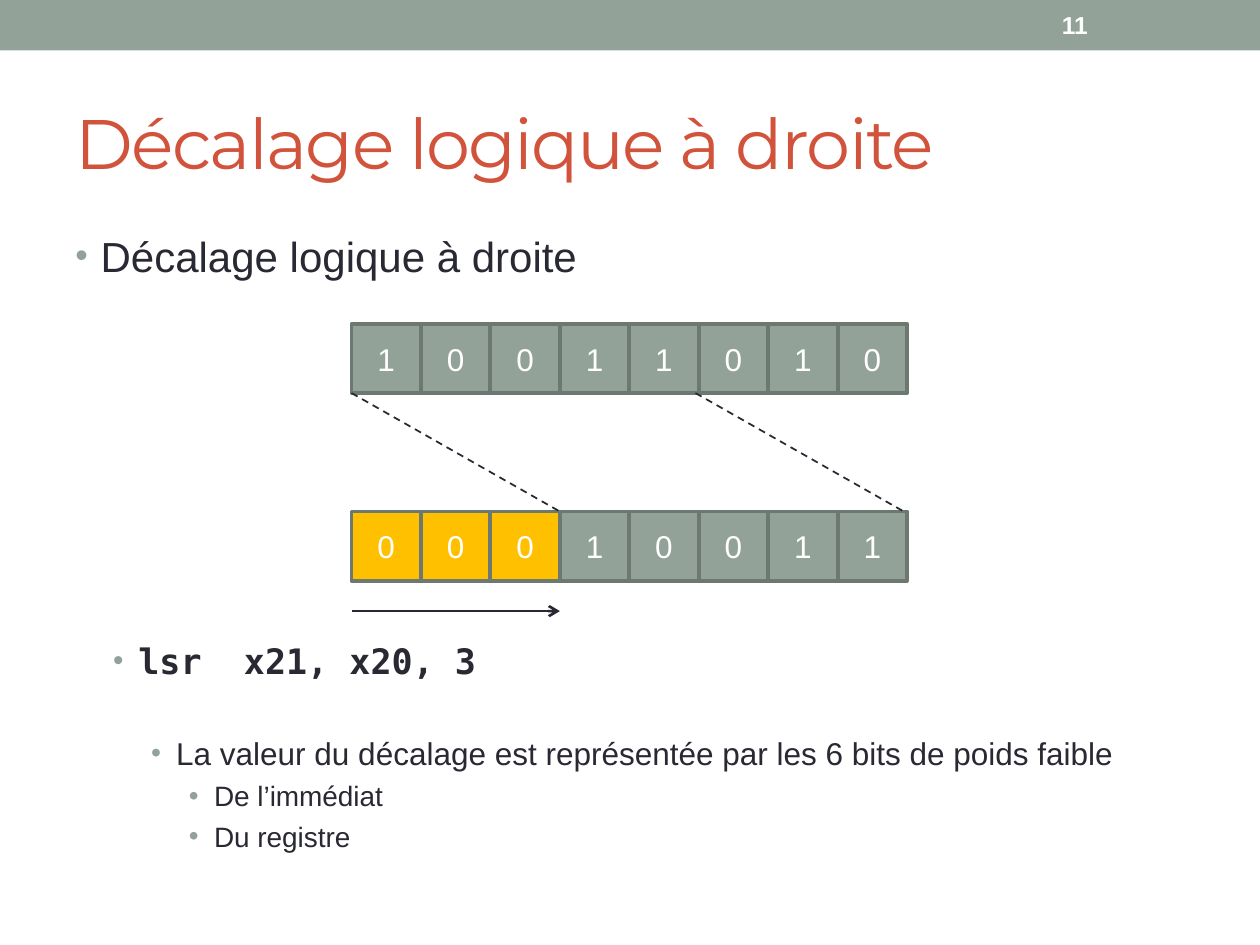
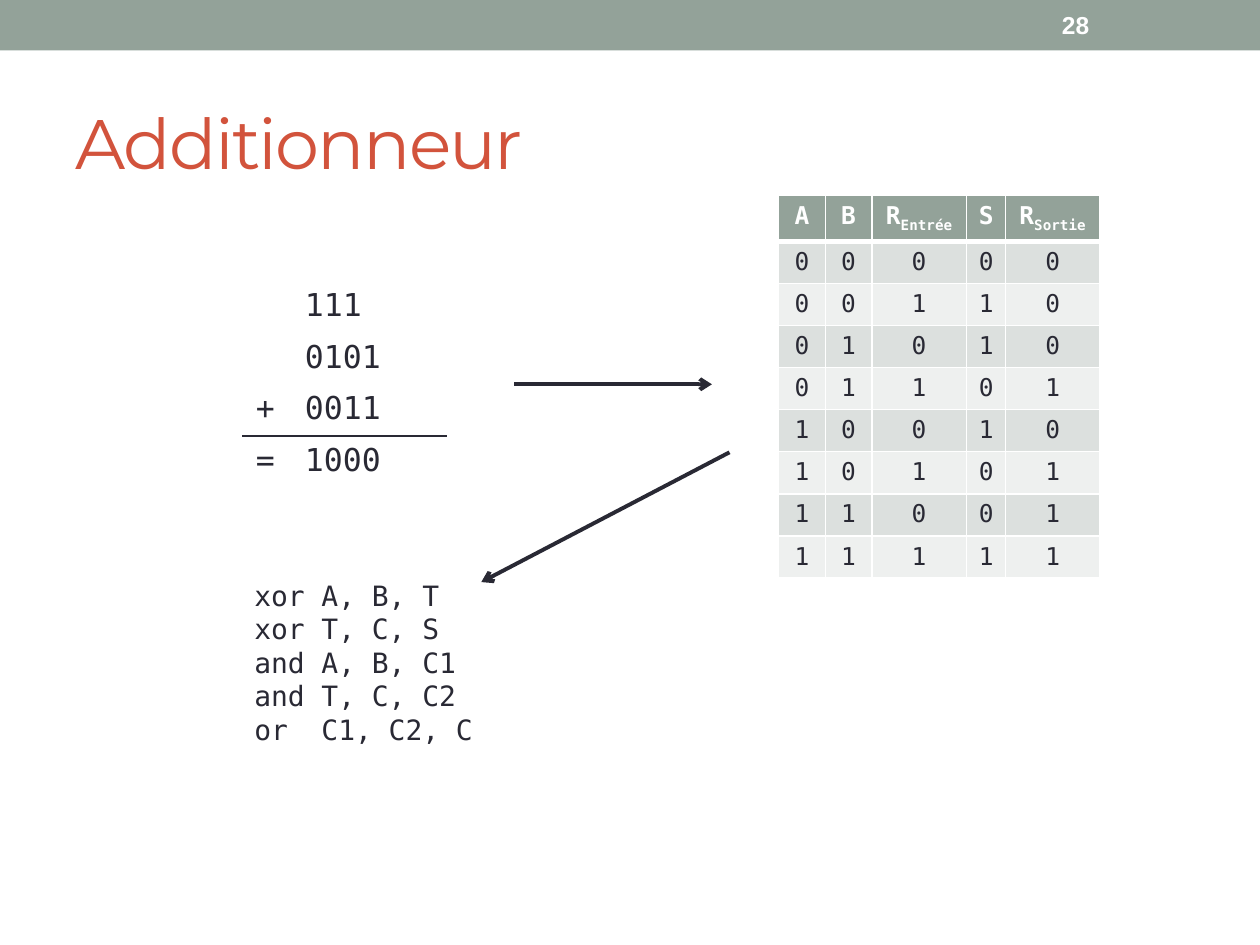
from dataclasses import dataclass
from typing import NamedTuple, Optional

from lxml.etree import SubElement
from pptx import Presentation
from pptx.dml.color import RGBColor
from pptx.enum.dml import MSO_LINE_DASH_STYLE as Dash
from pptx.enum.shapes import MSO_CONNECTOR, MSO_SHAPE
from pptx.enum.text import MSO_ANCHOR as Anchor, MSO_AUTO_SIZE as AutoSize, PP_ALIGN as Align
from pptx.oxml.ns import qn
from pptx.util import Inches, Pt


@dataclass(frozen=True)
class Theme:
    sage: str = "93A299"
    sage_edge: str = "6D7871"
    brick: str = "D2533C"
    ink: str = "292934"
    white: str = "FFFFFF"
    amber: str = "FFC000"
    row_dark: str = "DCE0DE"
    row_light: str = "EEF0EF"
    title_font: str = "Montserrat"
    text_font: str = "Arial"
    code_font: str = "DejaVu Sans Mono"
    title_size: int = 40
    body_size: int = 24
    command_size: int = 20
    detail_size: int = 18
    small_size: int = 16
    label_size: int = 14


THEME = Theme()


class Bullet(NamedTuple):
    text: str
    level: int
    size: int
    before: float = 0
    mark_percent: int = 100
    font: str = THEME.text_font
    bold: bool = False


class BitRow(NamedTuple):
    bits: str
    top: float
    filled_in: int = 0


class Link(NamedTuple):
    start: tuple[float, float]
    end: tuple[float, float]
    width: float
    dashed: bool = False
    arrow: bool = False


class Grid(NamedTuple):
    left: float
    top: float
    columns: tuple[float, ...]
    row_height: float
    rows: tuple[tuple[str, ...], ...]


BIT_LEFT, BIT_SIZE, BIT_PITCH = 2.79, 0.55, 4.41 / 8
SHIFT = 3 * BIT_PITCH
BIT_ROWS = (BitRow("10011010", 2.57), BitRow("00010011", 4.06, filled_in=3))
SHIFT_LINKS = (
    Link((BIT_LEFT, 4.85), (BIT_LEFT + SHIFT, 4.85), 1.5, arrow=True),
    *(Link((x, 3.12), (x + SHIFT, 4.06), 1, dashed=True) for x in (BIT_LEFT, 5.52)),
)
BULLETS = (
    Bullet("Décalage logique à droite", 0, THEME.body_size, mark_percent=85),
    Bullet("lsr  x21, x20, 3", 1, THEME.command_size, 205, 85, THEME.code_font, True),
    Bullet("La valeur du décalage est représentée par les 6 bits de poids faible",
           2, THEME.detail_size, 30, 90),
    Bullet("De l’immédiat", 3, THEME.small_size, 4),
    Bullet("Du registre", 3, THEME.small_size, 4),
)
SUM = Grid(1.93, 2.23, (0.39, 1.22), 0.41,
           (("", "111"), ("", "0101"), ("+", "0011"), ("=", "1000")))
TRUTH = Grid(6.18, 1.55, (0.37, 0.37, 0.75, 0.31, 0.75), 3 / 9, (
    ("A", "B", "R_Entrée", "S", "R_Sortie"),
    *(tuple(row) for row in ("00000", "00110", "01010", "01101",
                             "10010", "10101", "11001", "11111")),
))
LISTING = ("xor A, B, T", "xor T, C, S", "and A, B, C1", "and T, C, C2", "or  C1, C2, C")
ADDER_LINKS = (
    Link((4.08, 3.05), (5.65, 3.05), 2.25, arrow=True),
    Link((5.79, 3.59), (3.82, 4.62), 2.25, arrow=True),
)


def add_span(para, text: str, *, size: float, color: str = THEME.ink,
             font: str = THEME.text_font, bold: bool = False,
             spacing: Optional[int] = None, baseline: Optional[int] = None) -> None:
    span = para.add_run()
    span.text = text
    span.font.name = font
    span.font.size = Pt(size)
    span.font.bold = bold
    span.font.color.rgb = RGBColor.from_string(color)
    properties = span._r.get_or_add_rPr()
    if spacing is not None:
        properties.set("spc", str(spacing * 100))
    if baseline is not None:
        properties.set("baseline", str(baseline * 1000))


def add_box(slide, left: float, top: float, width: float, height: float,
            anchor: Anchor = Anchor.TOP):
    box = slide.shapes.add_textbox(Inches(left), Inches(top), Inches(width), Inches(height))
    frame = box.text_frame
    frame.word_wrap = True
    frame.vertical_anchor = anchor
    return frame


def next_para(frame, index: int):
    return frame.add_paragraph() if index else frame.paragraphs[0]


def add_rectangle(shapes, left: float, top: float, width: float, height: float,
                  fill: str, edge: Optional[str] = None):
    shape = shapes.add_shape(MSO_SHAPE.RECTANGLE, Inches(left), Inches(top),
                             Inches(width), Inches(height))
    shape.shadow.inherit = False
    shape.fill.solid()
    shape.fill.fore_color.rgb = RGBColor.from_string(fill)
    if edge:
        shape.line.color.rgb = RGBColor.from_string(edge)
        shape.line.width = Pt(2.08)
    else:
        shape.line.fill.background()
    return shape


def add_slide(deck, title: str, number: int):
    slide = deck.slides.add_slide(deck.slide_layouts[5])
    add_rectangle(slide.shapes, 0, 0, 10, 0.4, THEME.sage)
    heading = slide.shapes.title
    heading.left, heading.top = Inches(0.5), Inches(0.58)
    heading.width, heading.height = Inches(9), Inches(1.08)
    frame = heading.text_frame
    frame.auto_size = AutoSize.NONE
    frame.vertical_anchor = Anchor.MIDDLE
    para = frame.paragraphs[0]
    para.alignment = Align.LEFT
    add_span(para, title, size=THEME.title_size, color=THEME.brick,
             font=THEME.title_font, spacing=-1)
    number_frame = add_box(slide, 8.33, 0.02, 1.17, 0.36, Anchor.MIDDLE)
    add_span(number_frame.paragraphs[0], str(number), size=THEME.label_size,
             color=THEME.white, bold=True)
    return slide


def add_bullets(slide, bullets: tuple[Bullet, ...]) -> None:
    frame = add_box(slide, 0.5, 1.78, 9.38, 5.5)
    for index, bullet in enumerate(bullets):
        para = next_para(frame, index)
        properties = para._p.get_or_add_pPr()
        properties.set("marL", str(Inches(0.2 + 0.3 * bullet.level)))
        properties.set("indent", str(Inches(-0.2)))
        mark_color = SubElement(properties, qn("a:buClr"))
        SubElement(mark_color, qn("a:srgbClr"), val=THEME.sage)
        SubElement(properties, qn("a:buSzPct"), val=str(bullet.mark_percent * 1000))
        SubElement(properties, qn("a:buFont"), typeface=THEME.text_font)
        SubElement(properties, qn("a:buChar"), char="•")
        para.space_before = Pt(bullet.before)
        add_span(para, bullet.text, size=bullet.size, font=bullet.font, bold=bullet.bold)


def add_bit_row(slide, row: BitRow) -> None:
    group = slide.shapes.add_group_shape()
    for index, bit in enumerate(row.bits):
        fill = THEME.amber if index < row.filled_in else THEME.sage
        cell = add_rectangle(group.shapes, BIT_LEFT + index * BIT_PITCH, row.top,
                             BIT_SIZE, BIT_SIZE, fill, THEME.sage_edge)
        cell.text_frame.vertical_anchor = Anchor.MIDDLE
        para = cell.text_frame.paragraphs[0]
        para.alignment = Align.CENTER
        add_span(para, bit, size=THEME.detail_size, color=THEME.white)


def add_link(slide, link: Link) -> None:
    points = (Inches(value) for value in (*link.start, *link.end))
    connector = slide.shapes.add_connector(MSO_CONNECTOR.STRAIGHT, *points)
    connector.line.color.rgb = RGBColor.from_string(THEME.ink)
    connector.line.width = Pt(link.width)
    if link.dashed:
        connector.line.dash_style = Dash.DASH
    if link.arrow:
        SubElement(connector.line._get_or_add_ln(), qn("a:tailEnd"), type="arrow")
    SubElement(connector._element.spPr, qn("a:effectLst"))


def set_border(cell, side: str, color: str = THEME.white, width: float = 1) -> None:
    line = SubElement(cell._tc.get_or_add_tcPr(), qn(f"a:ln{side}"), w=str(Pt(width)))
    SubElement(SubElement(line, qn("a:solidFill")), qn("a:srgbClr"), val=color)


def add_grid(slide, grid: Grid):
    height = grid.row_height * len(grid.rows)
    table = slide.shapes.add_table(
        len(grid.rows), len(grid.columns), Inches(grid.left), Inches(grid.top),
        Inches(sum(grid.columns)), Inches(height)).table
    table.first_row = table.horz_banding = False
    for column, width in zip(table.columns, grid.columns):
        column.width = Inches(width)
    for row in table.rows:
        row.height = Inches(grid.row_height)
    return table


def add_sum(slide, grid: Grid) -> None:
    table = add_grid(slide, grid)
    rule_row = len(grid.rows) - 1
    for r, row in enumerate(grid.rows):
        for c, text in enumerate(row):
            cell = table.cell(r, c)
            set_border(cell, "L")
            set_border(cell, "R")
            set_border(cell, "T", THEME.ink if r == rule_row else THEME.white)
            set_border(cell, "B", THEME.ink if r == rule_row - 1 else THEME.white)
            cell.fill.background()
            if text:
                add_span(cell.text_frame.paragraphs[0], text, size=THEME.detail_size,
                         font=THEME.code_font)


def add_truth_table(slide, grid: Grid) -> None:
    table = add_grid(slide, grid)
    for r, row in enumerate(grid.rows):
        header = r == 0
        fill = THEME.sage if header else THEME.row_dark if r % 2 else THEME.row_light
        style = dict(size=THEME.label_size, font=THEME.code_font, bold=header,
                     color=THEME.white if header else THEME.ink)
        for c, text in enumerate(row):
            cell = table.cell(r, c)
            for side in "LR":
                set_border(cell, side)
            set_border(cell, "T", width=3 if r == 1 else 1)
            set_border(cell, "B", width=3 if header else 1)
            cell.fill.solid()
            cell.fill.fore_color.rgb = RGBColor.from_string(fill)
            para = cell.text_frame.paragraphs[0]
            para.alignment = Align.CENTER
            base, _, subscript = text.partition("_")
            add_span(para, base, **style)
            if subscript:
                add_span(para, subscript, baseline=-25, **style)


def add_listing(slide, lines: tuple[str, ...]) -> None:
    frame = add_box(slide, 1.92, 4.54, 2.2, 1.48)
    for index, line in enumerate(lines):
        add_span(next_para(frame, index), line, size=THEME.small_size, font=THEME.code_font)


def build_shift_slide(deck) -> None:
    slide = add_slide(deck, "Décalage logique à droite", 11)
    add_bullets(slide, BULLETS)
    for row in BIT_ROWS:
        add_bit_row(slide, row)
    for link in SHIFT_LINKS:
        add_link(slide, link)


def build_adder_slide(deck) -> None:
    slide = add_slide(deck, "Additionneur", 28)
    add_sum(slide, SUM)
    add_truth_table(slide, TRUTH)
    add_listing(slide, LISTING)
    for link in ADDER_LINKS:
        add_link(slide, link)


def main() -> None:
    deck = Presentation()
    deck.slide_width, deck.slide_height = Inches(10), Inches(7.5)
    build_shift_slide(deck)
    build_adder_slide(deck)
    deck.save("out.pptx")


if __name__ == "__main__":
    main()
